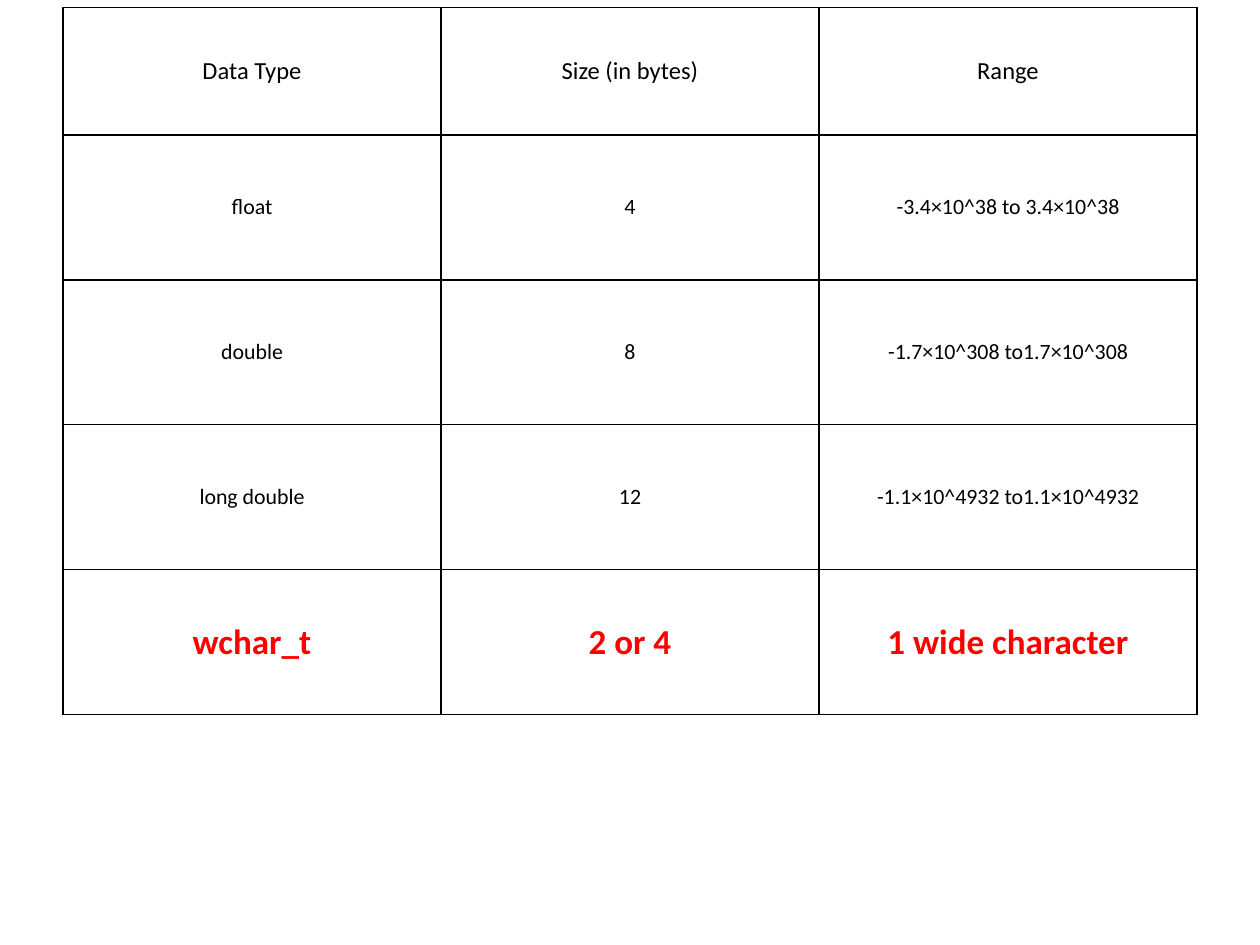
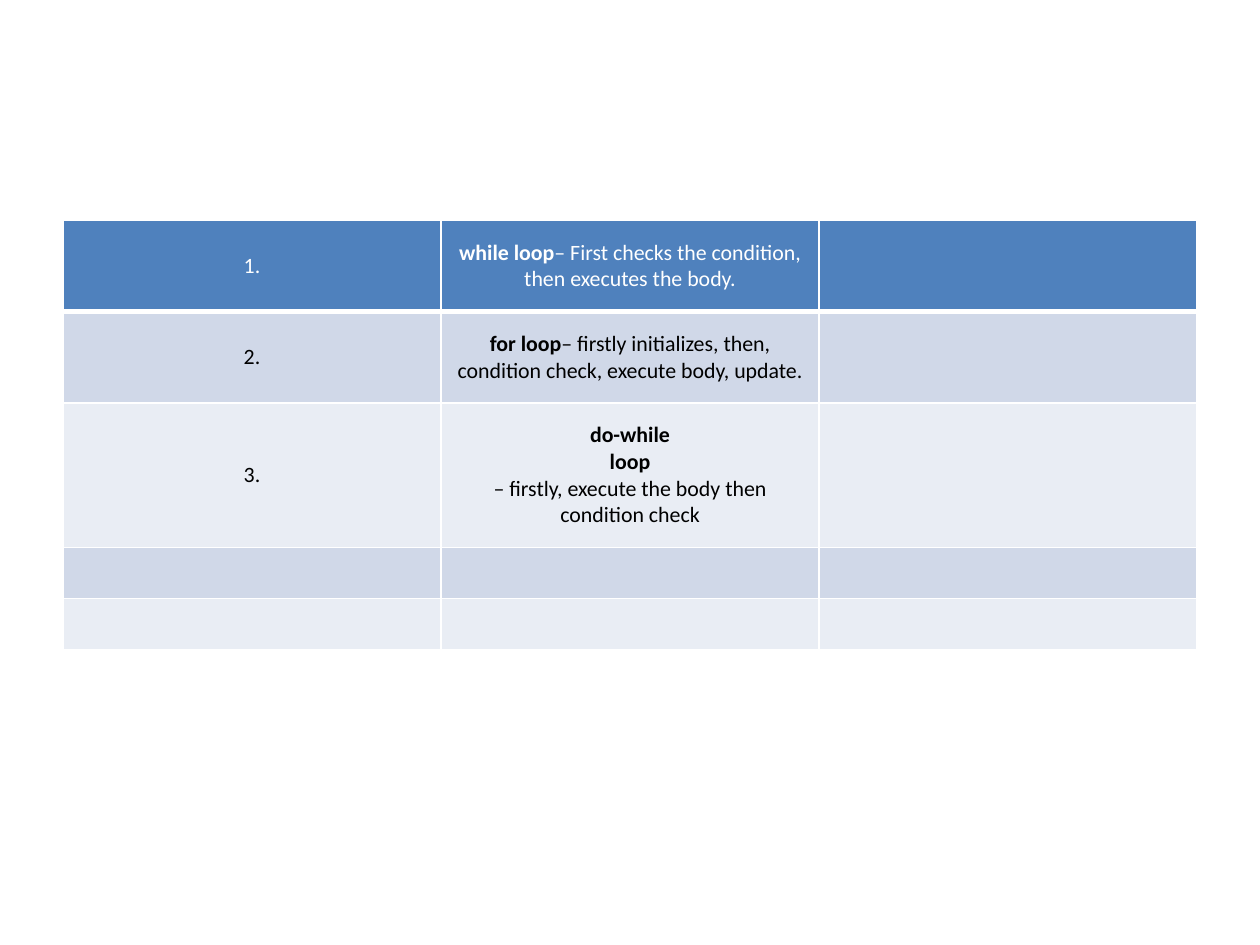
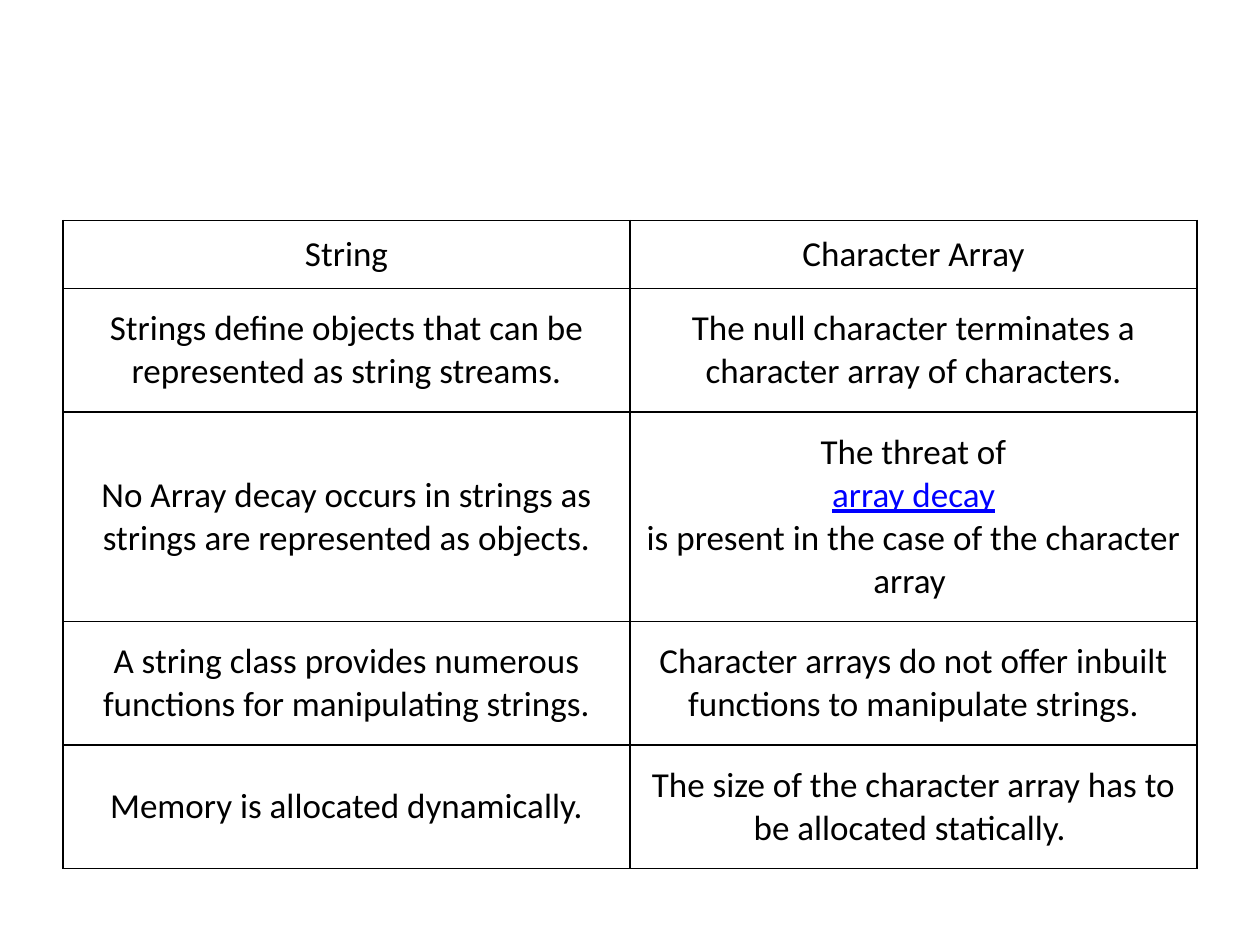
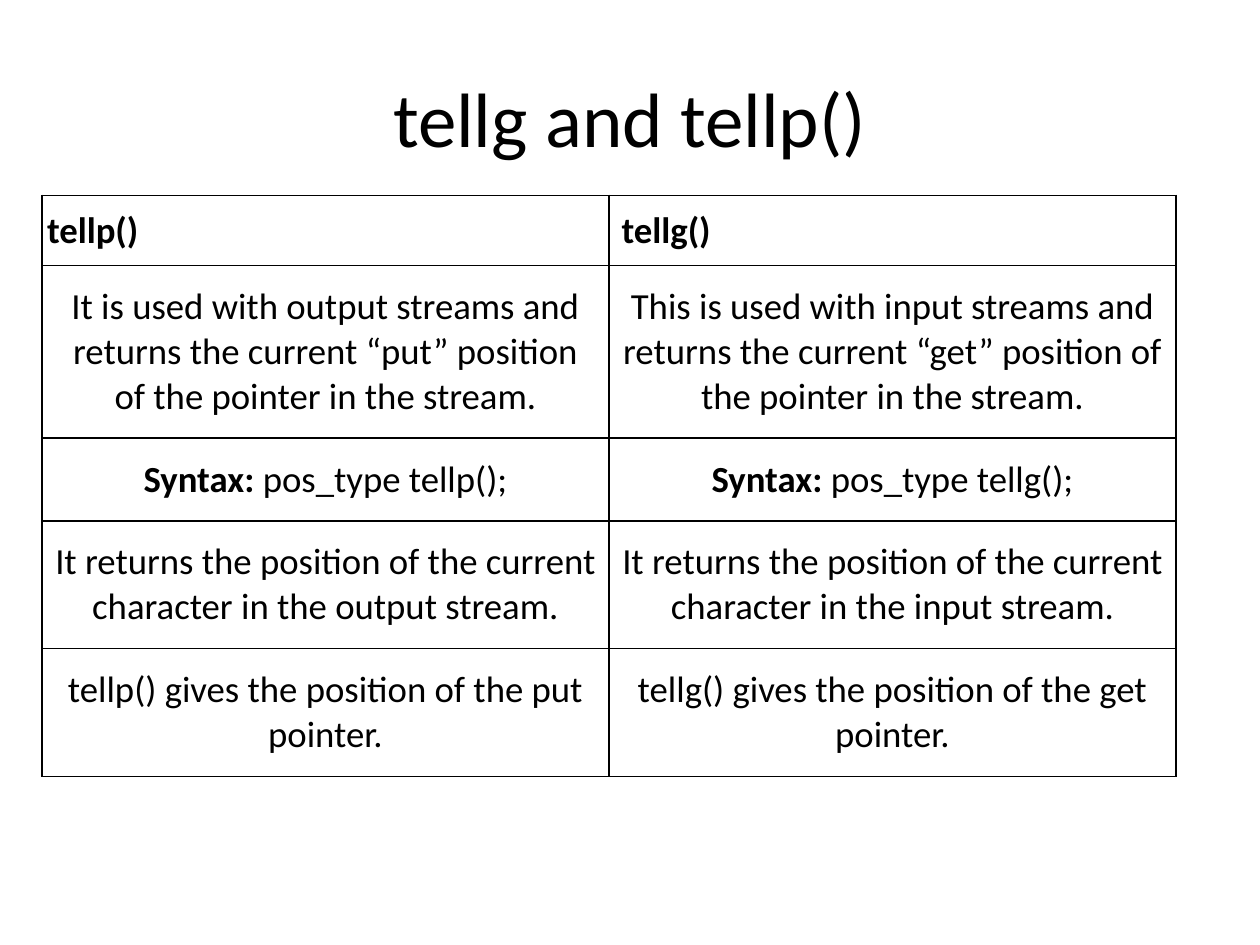
"""Build four slides of C++ reference tables."""
from lxml import etree
from pptx import Presentation
from pptx import util as u
from pptx.dml.color import RGBColor
from pptx.enum import text
from pptx.oxml.ns import qn

COLORS = {
    "ink": "000000",
    "paper": "FFFFFF",
    "accent": "FF0000",
    "link": "0000FF",
    "header": "4F81BD",
    "odd_band": "D0D8E8",
    "even_band": "E9EDF4",
}
FONT = "Calibri"
TABLE_LEFT, TABLE_WIDTH = 36, 648
ROW_HEIGHT = 29.2
SIDE_INSET, CORNER_INSET = 7.2, 2.88
HEADER_INSET, BODY_INSET = 7.2, 10.8
TITLE_ONLY, BLANK = 5, 6

DATA_TYPES = [
    ["Data Type", "Size (in bytes)", "Range"],
    ["float", "4", "-3.4×10^38 to 3.4×10^38"],
    ["double", "8", "-1.7×10^308 to1.7×10^308"],
    ["long double", "12", "-1.1×10^4932 to1.1×10^4932"],
    ["*wchar_t*", "*2 or 4*", "*1 wide character*"],
]
LOOPS = [
    ["1.", "*while loop*– First checks the condition, then executes the body.", ""],
    ["2.", "*for loop*– firstly initializes, then, condition check, execute body, update.", ""],
    ["3.", "*do-while*\n*loop*\n– firstly, execute the body then condition check", ""],
    ["", "", ""],
    ["", "", ""],
]
STRINGS = [
    ["String", "Character Array"],
    ["Strings define objects that can be represented as string streams.",
     "The null character terminates a character array of characters."],
    ["No Array decay occurs in strings as strings are represented as objects.",
     "The threat of\narray decay\nis present in the case of the character array "],
    ["A string class provides numerous functions for manipulating strings.",
     "Character arrays do not offer inbuilt functions to manipulate strings."],
    ["Memory is allocated dynamically.",
     "The size of the character array has to be allocated statically. "],
]
POSITIONS = [
    ["*tellp()*", "*tellg()*"],
    ["It is used with output streams and returns the current “put” position of the pointer in the stream.",
     "This is used with input streams and returns the current “get” position of the pointer in the stream."],
    ["*Syntax: *pos_type tellp();", "*Syntax: *pos_type tellg();"],
    ["It returns the position of the current character in the output stream.",
     "It returns the position of the current character in the input stream."],
    ["tellp() gives the position of the put pointer.",
     "tellg() gives the position of the get pointer."],
]


def rgb(name):
    """Return the named palette colour."""
    return RGBColor.from_string(COLORS[name])


def format_run(run, size, color, bold=False):
    """Apply the shared font with a size, colour and weight."""
    run.font.name = FONT
    run.font.size = u.Pt(size)
    run.font.color.rgb = rgb(color)
    run.font.bold = bold


def write_cell(cell, content, size, color, align):
    """Write one paragraph per line, with bold between asterisks."""
    cell.vertical_anchor = text.MSO_ANCHOR.MIDDLE
    cell.text_frame.text = content.replace("*", "")
    for paragraph, line in zip(cell.text_frame.paragraphs, content.split("\n")):
        paragraph.alignment = align
        paragraph.text = ""
        for index, part in enumerate(line.split("*")):
            if part:
                run = paragraph.add_run()
                run.text = part
                format_run(run, size, color, index % 2 == 1)


def set_insets(cell, side, vertical):
    """Set the cell margins."""
    cell.margin_left = cell.margin_right = u.Pt(side)
    cell.margin_top = cell.margin_bottom = u.Pt(vertical)


def set_borders(cell, color, top=1, bottom=1):
    """Draw solid lines on all four sides of a cell."""
    properties = cell._tc.get_or_add_tcPr()
    widths = {"a:lnL": 1, "a:lnR": 1, "a:lnT": top, "a:lnB": bottom}
    for position, (tag, width) in enumerate(widths.items()):
        line = etree.Element(qn(tag), w=str(u.Pt(width)))
        fill = etree.SubElement(line, qn("a:solidFill"))
        etree.SubElement(fill, qn("a:srgbClr"), val=COLORS[color])
        properties.insert(position, line)


def add_grid(slide, rows, top, size, left=TABLE_LEFT, heights=None, banded=False,
             header_size=None, header_align=text.PP_ALIGN.CENTER):
    """Add a table with equal columns, either ruled or banded."""
    heights = heights or [ROW_HEIGHT] * len(rows)
    table = slide.shapes.add_table(
        len(rows), len(rows[0]), u.Pt(left), u.Pt(top),
        u.Pt(TABLE_WIDTH), u.Pt(sum(heights))).table
    table.first_row = table.horz_banding = False
    for row_index, row in enumerate(rows):
        table.rows[row_index].height = u.Pt(heights[row_index])
        is_header = row_index == 0
        for column_index, content in enumerate(row):
            cell = table.cell(row_index, column_index)
            if content:
                write_cell(cell, content,
                           header_size if is_header and header_size else size,
                           "paper" if banded and is_header else "ink",
                           header_align if is_header else text.PP_ALIGN.CENTER)
                ruled_header = is_header and not banded
                set_insets(cell,
                           CORNER_INSET if ruled_header and column_index == 0 else SIDE_INSET,
                           HEADER_INSET if ruled_header else BODY_INSET)
            if banded:
                band = "header" if is_header else ("even_band", "odd_band")[row_index % 2]
                cell.fill.solid()
                cell.fill.fore_color.rgb = rgb(band)
                set_borders(cell, "paper", top=3 if row_index == 1 else 1,
                            bottom=3 if is_header else 1)
            else:
                cell.fill.background()
                set_borders(cell, "ink")
    return table


def add_title(slide, title):
    """Fill and place the title placeholder."""
    shape = slide.shapes.title
    shape.left, shape.top = u.Pt(36), u.Pt(21.6)
    shape.width, shape.height = u.Pt(648), u.Pt(90)
    shape.text_frame.text = title
    shape.text_frame.vertical_anchor = text.MSO_ANCHOR.MIDDLE
    paragraph = shape.text_frame.paragraphs[0]
    paragraph.alignment = text.PP_ALIGN.CENTER
    format_run(paragraph.runs[0], 44, "ink")


def main():
    """Build and save the presentation."""
    presentation = Presentation()
    presentation.slide_width, presentation.slide_height = u.Pt(720), u.Pt(540)
    layouts = presentation.slide_layouts
    types_slide, loops_slide, strings_slide, positions_slide = [
        presentation.slides.add_slide(layouts[index])
        for index in (BLANK, BLANK, BLANK, TITLE_ONLY)]

    types_table = add_grid(types_slide, DATA_TYPES, 4.4, 12.5, header_size=14,
                           heights=[72.7] + [82.8] * 4)
    for cell in types_table.rows[len(DATA_TYPES) - 1].cells:
        format_run(cell.text_frame.paragraphs[0].runs[0], 20, "accent", bold=True)

    add_grid(loops_slide, LOOPS, 126, 12.5, banded=True)

    strings_table = add_grid(strings_slide, STRINGS, 126, 20)
    link = strings_table.cell(2, 1).text_frame.paragraphs[1].runs[0]
    format_run(link, 20, "link")
    link.font.underline = True

    add_title(positions_slide, "tellg and tellp()")
    add_grid(positions_slide, POSITIONS, 111.6, 21, left=24,
             heights=[39.6] + [ROW_HEIGHT] * 4, header_align=text.PP_ALIGN.LEFT)

    presentation.save("out.pptx")


if __name__ == "__main__":
    main()
